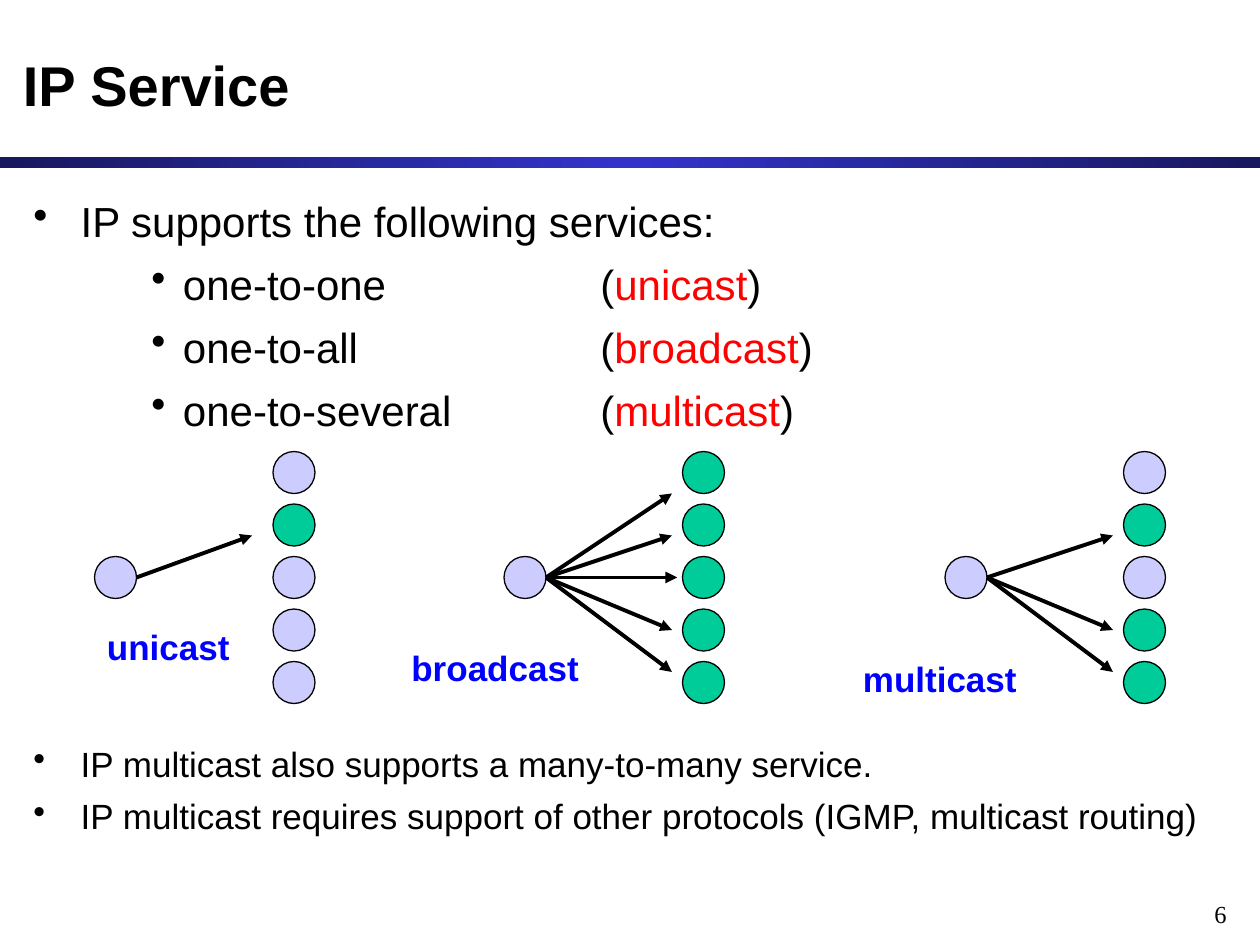
import copy
from dataclasses import dataclass

import pptx
import pptx.dml.color
import pptx.enum.shapes
import pptx.enum.text
import pptx.oxml
import pptx.oxml.ns
import pptx.util

Pt = pptx.util.Pt
RGBColor = pptx.dml.color.RGBColor
Align = pptx.enum.text.PP_ALIGN
Anchor = pptx.enum.text.MSO_ANCHOR
Preset = pptx.enum.shapes.MSO_SHAPE
qn = pptx.oxml.ns.qn

BLACK = RGBColor(0, 0, 0)
RED = RGBColor(0xFF, 0, 0)
BLUE = RGBColor(0, 0, 0xFF)
LAVENDER = RGBColor(0xCC, 0xCC, 0xFF)
GREEN = RGBColor(0, 0xCC, 0x99)
RULE_EDGE = RGBColor(0x18, 0x18, 0x5E)
RULE_CENTRE = RGBColor(0x33, 0x33, 0xCC)

NODE_SIZE = 24
NODE_PITCH = 30
HOSTS_TOP = 258
HOSTS_OFFSET = 102
SENDER_TOP = HOSTS_TOP + 2 * NODE_PITCH
TIP_HEIGHTS = (282, 306, 330, 360, 384)


@dataclass
class Delivery:
    name: str
    sender_left: float
    receivers: tuple[int, ...]
    reach: float
    label_left: float
    label_top: float
    label_width: float


@dataclass
class Bullet:
    text: str
    size: float
    space_before: float
    level: int = 0
    term: str = ""


DELIVERIES = (
    Delivery("unicast", 54, (1,), 90, 54, 354, 96),
    Delivery("broadcast", 288, (0, 1, 2, 3, 4), 96, 228, 366, 120),
    Delivery("multicast", 540, (1, 3, 4), 96, 486, 372, 120),
)

SERVICES = (
    Bullet("IP supports the following services:", 24, 7.3),
    Bullet("one-to-one", 24, 7.3, 1, "unicast"),
    Bullet("one-to-all", 24, 7.3, 1, "broadcast"),
    Bullet("one-to-several", 24, 7.3, 1, "multicast"),
)

REMARKS = (
    Bullet("IP multicast also supports a many-to-many service.", 20, 6.1),
    Bullet("IP multicast requires support of other protocols (IGMP, multicast routing)", 20, 6.1),
)


def style_run(run, size: float, color: RGBColor, bold: bool = False, face: str = "Arial") -> None:
    run.font.size = Pt(size)
    run.font.name = face
    run.font.bold = bold
    run.font.color.rgb = color


def add_frame(slide, left: float, top: float, width: float, height: float):
    frame = slide.shapes.add_textbox(Pt(left), Pt(top), Pt(width), Pt(height)).text_frame
    frame.word_wrap = True
    return frame


def add_line_of_text(slide, text: str, left: float, top: float, width: float, height: float,
                     size: float, color: RGBColor, bold: bool = True, face: str = "Arial",
                     align=Align.LEFT, anchor=Anchor.TOP) -> None:
    frame = add_frame(slide, left, top, width, height)
    frame.vertical_anchor = anchor
    frame.text = text
    frame.paragraphs[0].alignment = align
    style_run(frame.paragraphs[0].runs[0], size, color, bold, face)


def set_bullet(paragraph, level: int) -> None:
    margin, hanging = ((27, 27), (85.5, 18))[level]
    properties = paragraph._p.get_or_add_pPr()
    properties.set("marL", str(Pt(margin)))
    properties.set("indent", str(-Pt(hanging)))
    properties.append(properties.makeelement(qn("a:buChar"), {"char": "•"}))
    tabs = properties.makeelement(qn("a:tabLst"), {})
    tabs.append(tabs.makeelement(qn("a:tab"), {"pos": str(Pt(324)), "algn": "l"}))
    properties.append(tabs)


def add_bullets(slide, bullets: tuple[Bullet, ...], top: float, height: float) -> None:
    frame = add_frame(slide, 12, top, 702, height)
    for position, bullet in enumerate(bullets):
        paragraph = frame.add_paragraph() if position else frame.paragraphs[0]
        paragraph.level = bullet.level
        paragraph.space_before = Pt(bullet.space_before)
        set_bullet(paragraph, bullet.level)
        pieces = [(bullet.text, BLACK)]
        if bullet.term:
            pieces = [(f"{bullet.text}\t(", BLACK), (bullet.term, RED), (")", BLACK)]
        for text, color in pieces:
            run = paragraph.add_run()
            run.text = text
            style_run(run, bullet.size, color)


def add_rule(slide) -> None:
    rule = slide.shapes.add_shape(Preset.RECTANGLE, Pt(0), Pt(90), Pt(720), Pt(6))
    rule.shadow.inherit = False
    rule.line.fill.background()
    rule.fill.gradient()
    rule.fill.gradient_angle = 0
    edge, centre = rule.fill.gradient_stops
    edge.color.rgb, edge.position = RULE_EDGE, 0
    centre.color.rgb, centre.position = RULE_CENTRE, 0.5
    stops = rule._element.spPr.find(qn("a:gradFill")).find(qn("a:gsLst"))
    far_edge = copy.deepcopy(stops[0])
    far_edge.set("pos", "100000")
    stops.append(far_edge)


def add_node(slide, left: float, top: float, color: RGBColor) -> None:
    node = slide.shapes.add_shape(Preset.OVAL, Pt(left), Pt(top), Pt(NODE_SIZE), Pt(NODE_SIZE))
    node.shadow.inherit = False
    node.fill.solid()
    node.fill.fore_color.rgb = color
    node.line.color.rgb = BLACK
    node.line.width = Pt(0.75)


def add_arrow(slide, start_x: float, start_y: float, tip_x: float, tip_y: float) -> None:
    arrow = slide.shapes.add_connector(pptx.enum.shapes.MSO_CONNECTOR.STRAIGHT,
                                       Pt(start_x), Pt(start_y), Pt(tip_x), Pt(tip_y))
    arrow.line.color.rgb = BLACK
    arrow.line.width = Pt(2.25)
    outline = arrow.line._get_or_add_ln()
    outline.append(outline.makeelement(qn("a:tailEnd"), {"type": "triangle"}))
    properties = arrow._element.spPr
    properties.append(properties.makeelement(qn("a:effectLst"), {}))


def add_delivery(slide, delivery: Delivery) -> None:
    add_node(slide, delivery.sender_left, SENDER_TOP, LAVENDER)
    for host, tip_y in enumerate(TIP_HEIGHTS):
        receives = host in delivery.receivers
        add_node(slide, delivery.sender_left + HOSTS_OFFSET, HOSTS_TOP + host * NODE_PITCH,
                 GREEN if receives else LAVENDER)
        if receives:
            overshoot = 3 if host == 2 else 0
            add_arrow(slide, delivery.sender_left + NODE_SIZE, SENDER_TOP + NODE_SIZE / 2,
                      delivery.sender_left + delivery.reach + overshoot, tip_y)
    add_line_of_text(slide, delivery.name, delivery.label_left, delivery.label_top,
                     delivery.label_width, 31.5, 20, BLUE)


def main() -> None:
    presentation = pptx.Presentation()
    presentation.slide_width = Pt(720)
    presentation.slide_height = Pt(540)
    slide = presentation.slides.add_slide(presentation.slide_layouts[6])
    add_rule(slide)
    add_line_of_text(slide, "6", 558, 510, 150, 18, 14, BLACK, False, "Times New Roman", Align.RIGHT)
    add_bullets(slide, SERVICES, 108, 140)
    add_bullets(slide, REMARKS, 420.5, 62)
    add_line_of_text(slide, "IP Service", 6, 12, 708, 72, 32, BLACK, anchor=Anchor.MIDDLE)
    for delivery in DELIVERIES:
        add_delivery(slide, delivery)
    presentation.save("out.pptx")


if __name__ == "__main__":
    main()
